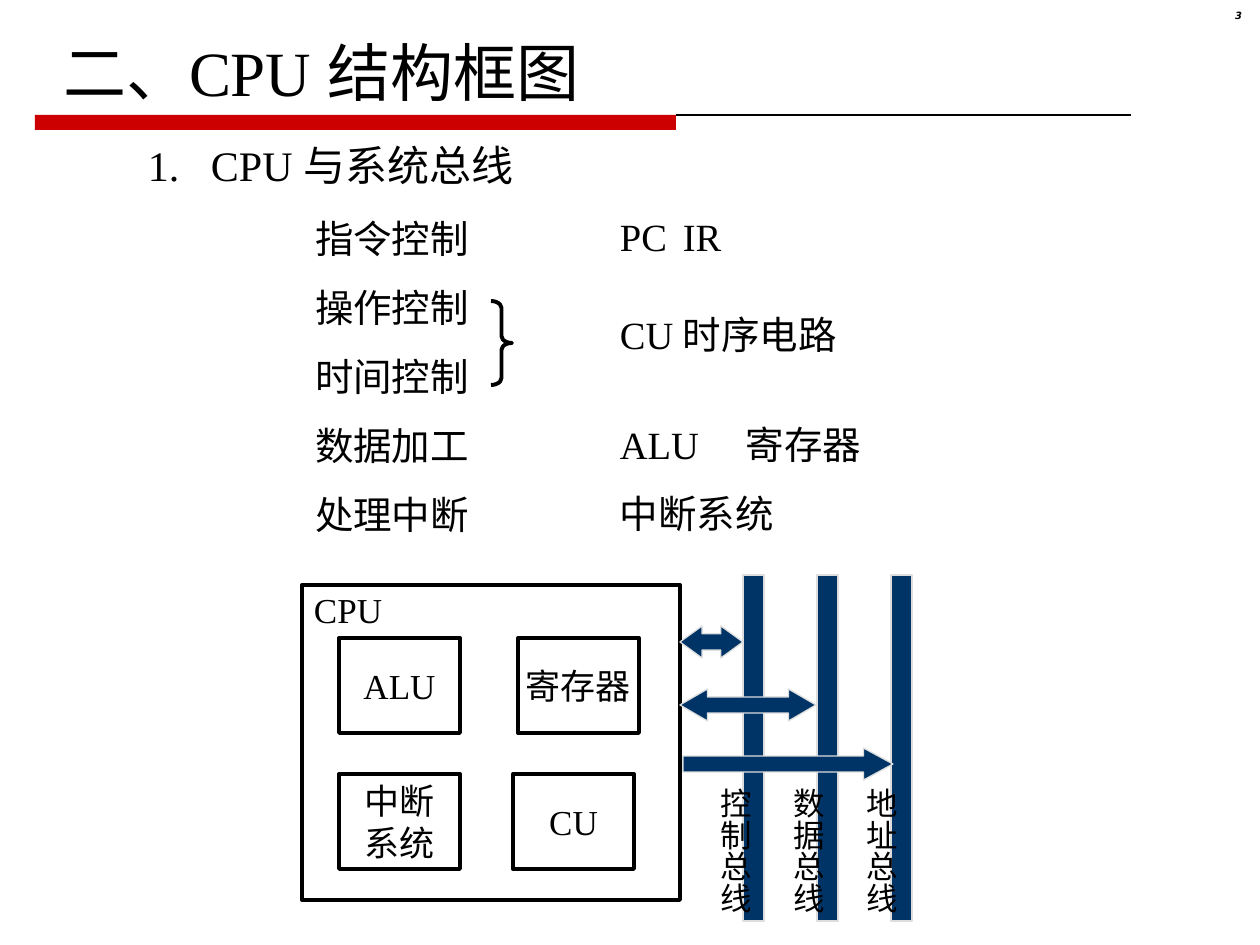
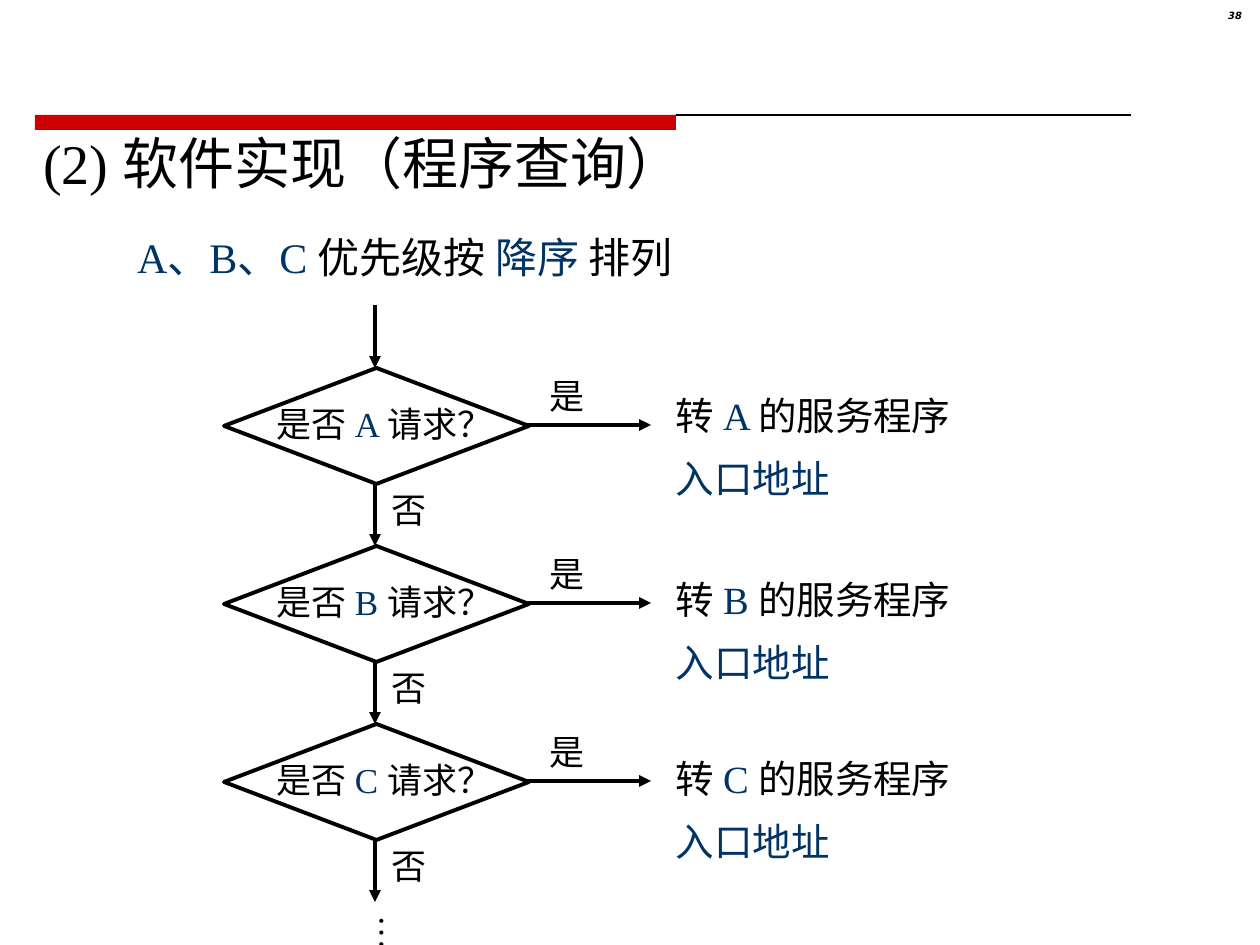
from dataclasses import dataclass
from typing import NamedTuple

from lxml import etree
from pptx import Presentation
from pptx import util as u
from pptx.dml.color import RGBColor
from pptx.enum import shapes, text
from pptx.oxml.ns import qn

SCALE = 914400 / 126
HUES = {"ink": "000000", "navy": "003366", "red": "CC0000", "edge": "DDDDDD"}
SERIF, SANS = "Times New Roman", "DejaVu Sans"
KIND, ALIGN, ANCHOR = shapes.MSO_SHAPE, text.PP_ALIGN, text.MSO_ANCHOR
PAD, FLAT, SIDE = (13, 6, 13, 6), (0, 6, 0, 6), (6, 13, 6, 13)
ROW, STEP = 69, 178


class Box(NamedTuple):
    x: int
    y: int
    w: int
    h: int


@dataclass
class Style:
    size: float = 20
    face: str = SERIF
    bold: bool = False
    slant: bool = False
    align: ALIGN = ALIGN.LEFT
    anchor: ANCHOR = ANCHOR.TOP
    pad: tuple = PAD
    wrap: bool = True
    lead: object = 1.0
    gap: float = 0
    tab: int = 0
    stack: bool = False


@dataclass
class Part:
    kind: KIND
    box: Box
    fill: str = ""
    edge: str = "ink"
    width: float = 2.25
    bends: tuple = ()


def px(n: float) -> u.Emu:
    return u.Emu(round(n * SCALE))


def hue(key: str) -> RGBColor:
    return RGBColor.from_string(HUES[key])


def put(item, **vals) -> None:
    for key, val in vals.items():
        setattr(item, key, val)


def write(shape, lines: list[str], style: Style) -> None:
    """Fill a shape with text; pieces between bars take the navy colour."""
    frame = shape.text_frame
    sides = ("left", "top", "right", "bottom")
    put(frame, word_wrap=style.wrap, auto_size=text.MSO_AUTO_SIZE.NONE,
        vertical_anchor=style.anchor,
        **{f"margin_{s}": px(n) for s, n in zip(sides, style.pad)})
    if style.stack:
        frame.auto_size = text.MSO_AUTO_SIZE.SHAPE_TO_FIT_TEXT
        frame._txBody.find(qn("a:bodyPr")).set("vert", "eaVert")
    for i, line in enumerate(lines):
        para = frame.add_paragraph() if i else frame.paragraphs[0]
        props = para._p.get_or_add_pPr()
        put_attrs = {"marL": "0", "indent": "0"}
        for key, val in put_attrs.items():
            props.set(key, val)
        etree.SubElement(props, qn("a:buNone"))
        if style.tab:
            tabs = etree.SubElement(props, qn("a:tabLst"))
            etree.SubElement(tabs, qn("a:tab"), pos=str(px(style.tab)), algn="l")
        put(para, alignment=style.align, line_spacing=style.lead,
            space_before=u.Pt(style.gap if i else 0))
        for j, piece in enumerate(line.split("|")):
            if piece:
                run = para.add_run()
                run.text = piece
                put(run.font, size=u.Pt(style.size), name=style.face,
                    bold=style.bold, italic=style.slant)
                run.font.color.rgb = hue("navy" if j % 2 else "ink")


def label(slide, box: Box, lines: list[str], style: Style) -> None:
    write(slide.shapes.add_textbox(*map(px, box)), lines, style)


def hold(shape, box: Box, lines: list[str], style: Style) -> None:
    put(shape, **dict(zip(("left", "top", "width", "height"), map(px, box))))
    write(shape, lines, style)


def draw(slide, part: Part):
    shape = slide.shapes.add_shape(part.kind, *map(px, part.box))
    shape.shadow.inherit = False
    if part.fill:
        shape.fill.solid()
        shape.fill.fore_color.rgb = hue(part.fill)
    else:
        shape.fill.background()
    if part.edge:
        shape.line.color.rgb = hue(part.edge)
        shape.line.width = u.Pt(part.width)
    else:
        shape.line.fill.background()
    for i, bend in enumerate(part.bends):
        shape.adjustments[i] = bend
    return shape


def rule(slide, x: int, y: int, dx: int, dy: int,
         width: float = 2.25, head: bool = True) -> None:
    line = slide.shapes.add_connector(
        shapes.MSO_CONNECTOR.STRAIGHT, *map(px, (x, y, x + dx, y + dy)))
    line.line.color.rgb = hue("ink")
    line.line.width = u.Pt(width)
    props = line._element.spPr
    if head:
        etree.SubElement(props.find(qn("a:ln")), qn("a:tailEnd"), type="triangle")
    etree.SubElement(props, qn("a:effectLst"))


def start(deck, page: str):
    slide = deck.slides.add_slide(deck.slide_layouts[1])
    rule(slide, 676, 115, 455, 0, 0.75, False)
    draw(slide, Part(KIND.RECTANGLE, Box(35, 115, 641, 15), "red", ""))
    label(slide, Box(1181, 6, 74, 29), [page],
          Style(5.7, SANS, True, True, ALIGN.RIGHT, lead=0.8))
    return slide


def frame_page(deck) -> None:
    slide = start(deck, "3")
    hold(slide.shapes.title, Box(50, 28, 788, 88), ["二、CPU 结构框图"], Style(36))
    tasks = ["指令控制", "操作控制", "时间控制", "数据加工", "处理中断"]
    hold(slide.placeholders[1], Box(302, 186, 180, 5 * ROW + 12), tasks,
         Style(22, lead=px(ROW)))
    label(slide, Box(135, 134, 441, 63), ["1.\tCPU 与系统总线"], Style(24, tab=51))
    units = [(207, "PC\tIR", 76), (305, "CU\t时序电路", 91),
             (415, "ALU\t寄存器", 107), (484, "中断系统", 0)]
    for top, words, tab in units:
        label(slide, Box(607, top, 378, 59), [words], Style(22, tab=tab))
    draw(slide, Part(KIND.RIGHT_BRACE, Box(491, 301, 21, 84), bends=(0.33, 0.5)))

    chip = draw(slide, Part(KIND.RECTANGLE, Box(302, 585, 378, 315)))
    write(chip, ["CPU"], Style(pad=(12, 4, 0, 0)))
    mid = Style(align=ALIGN.CENTER, anchor=ANCHOR.MIDDLE, pad=(0, 0, 0, 0))
    cells = [(339, 638, ["ALU"]), (518, 638, ["寄存器"]),
             (339, 774, ["中断", "系统"]), (513, 774, ["CU"])]
    for x, y, lines in cells:
        write(draw(slide, Part(KIND.RECTANGLE, Box(x, y, 121, 95))), lines, mid)

    def solid(kind: KIND, box: Box, *bends: float) -> None:
        draw(slide, Part(kind, box, "navy", "edge", 0.75, bends))

    names = ["控制总线", "数据总线", "地址总线"]
    for i in range(len(names)):
        solid(KIND.RECTANGLE, Box(743 + 74 * i, 575, 21, 346))
    solid(KIND.LEFT_RIGHT_ARROW, Box(680, 626, 63, 32), 0.51, 0.69)
    solid(KIND.LEFT_RIGHT_ARROW, Box(680, 689, 136, 32), 0.5, 0.86)
    for i, name in enumerate(names):
        label(slide, Box(697 + 73 * i, 775, 63, 139), [name],
              Style(18, pad=SIDE, wrap=False, stack=True))
    solid(KIND.RIGHT_ARROW, Box(683, 748, 210, 32), 0.5, 0.92)


def query_page(deck) -> None:
    slide = start(deck, "38")
    flat = {"anchor": ANCHOR.MIDDLE, "pad": FLAT, "wrap": False}
    hold(slide.shapes.title, Box(43, 126, 725, 73),
         ["(2) 软件实现（程序查询）"], Style(32, **flat))
    hold(slide.placeholders[1], Box(137, 220, 725, 73),
         ["|A、B、C |优先级按 |降序 |排列"], Style(24, **flat))
    rule(slide, 375, 305, 0, 63)
    for i, (name, top) in enumerate(zip("ABC", (393, 577, 756))):
        y = 368 + STEP * i
        draw(slide, Part(KIND.DIAMOND, Box(224, y, 305, 116)))
        label(slide, Box(277, y + 35, 275, 49), [f"是否 |{name} |请求？"],
              Style(pad=(0, 0, 13, 6)))
        rule(slide, 525, y + 57, 126, 0)
        label(slide, Box(537, y, 84, 55), ["是"], Style())
        rule(slide, 375, y + 115, 0, 63)
        label(slide, Box(379, y + 114, 84, 55), ["否"], Style())
        label(slide, Box(663, top, 483, 116),
              [f"转 |{name} |的服务程序", "|入口地址"],
              Style(22, lead=0.85, gap=13.8))
    label(slide, Box(354, 903, 67, 48), ["…"],
          Style(pad=SIDE, wrap=False, stack=True))


def main() -> None:
    deck = Presentation()
    put(deck, slide_width=px(1260), slide_height=px(945))
    frame_page(deck)
    query_page(deck)
    deck.save("out.pptx")


if __name__ == "__main__":
    main()
